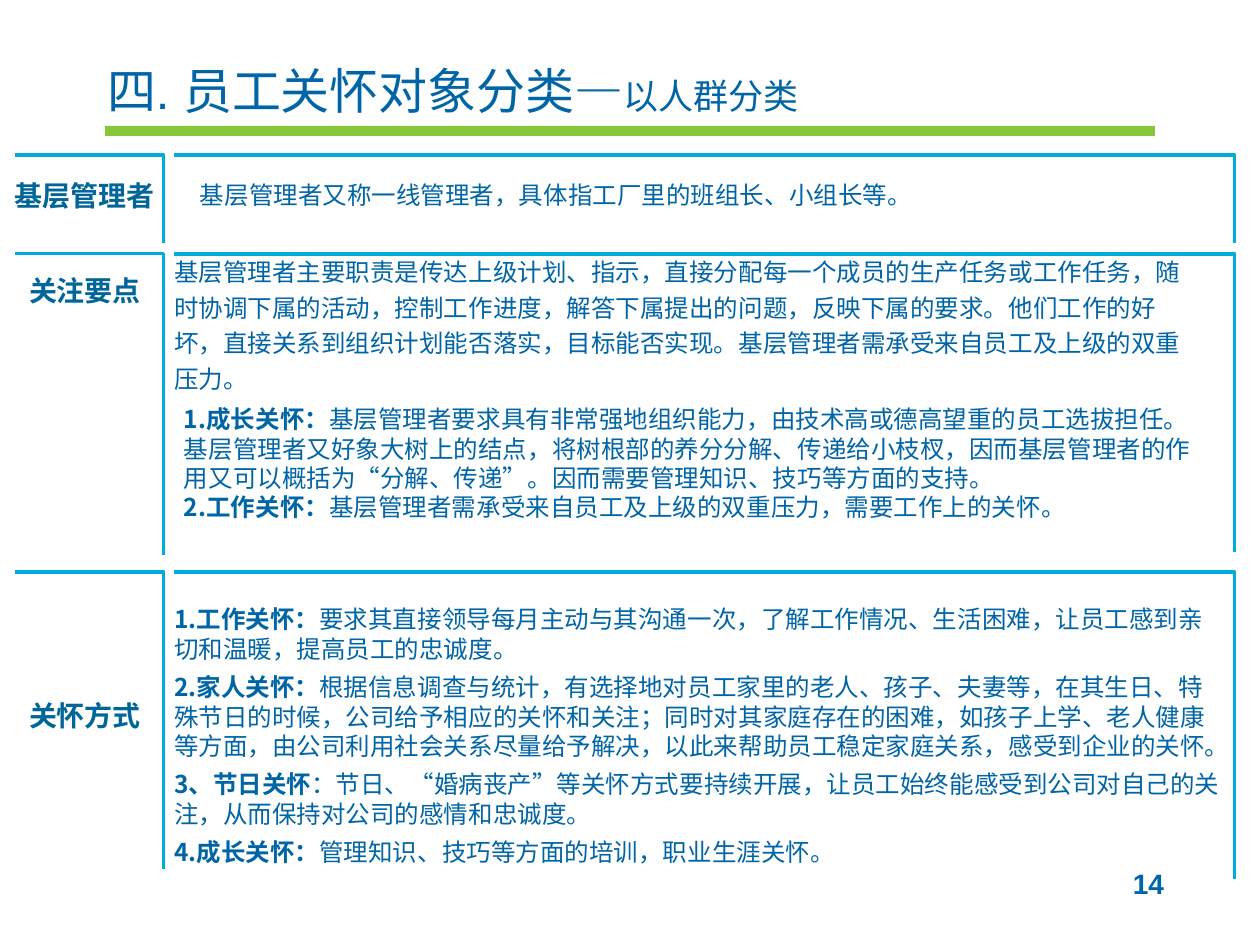
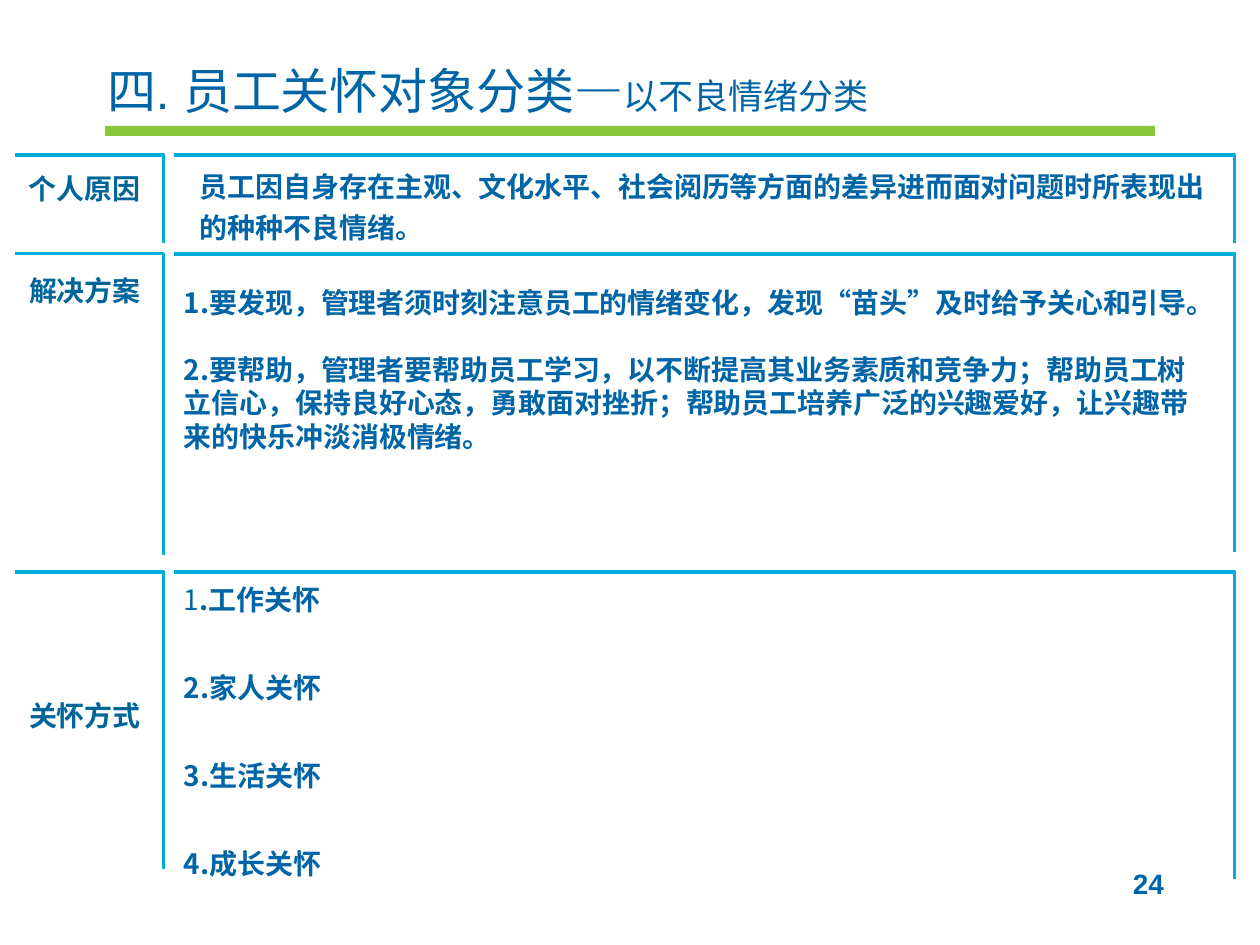
from dataclasses import dataclass

from lxml.etree import SubElement
from pptx import Presentation
from pptx.dml.color import RGBColor
from pptx.enum.shapes import MSO_SHAPE
from pptx.enum.text import MSO_ANCHOR, MSO_AUTO_SIZE, PP_ALIGN
from pptx.oxml.ns import qn
from pptx.util import Pt


@dataclass(frozen=True)
class Theme:
    text: RGBColor = RGBColor.from_string("0065A6")
    label: RGBColor = RGBColor.from_string("006699")
    frame: RGBColor = RGBColor.from_string("00ADDA")
    band: RGBColor = RGBColor.from_string("88C63A")
    latin: str = "Arial"
    chinese: str = "Noto Sans CJK SC"
    title: int = 28
    subtitle: int = 20
    strong: int = 16
    body: int = 14
    line_height: float = 1.2


THEME = Theme()
EMU_PER_PX = 914400 / 126


def px(*lengths):
    return [round(length * EMU_PER_PX) for length in lengths]


def write(frame, paragraphs, color=THEME.text, inset=0, anchor=MSO_ANCHOR.MIDDLE, align=PP_ALIGN.LEFT):
    """Each paragraph is (space before, runs); each run is (text, size, bold[, font])."""
    frame.word_wrap = True
    frame.auto_size = MSO_AUTO_SIZE.NONE
    frame.vertical_anchor = anchor
    frame.margin_left = frame.margin_right = px(2 * inset)[0]
    frame.margin_top = frame.margin_bottom = px(inset)[0]
    for index, (space_before, runs) in enumerate(paragraphs):
        paragraph = frame.add_paragraph() if index else frame.paragraphs[0]
        paragraph.alignment = align
        paragraph.space_before = Pt(space_before if index else 0)
        paragraph.line_spacing = Pt(round(runs[0][1] * THEME.line_height, 1))
        for text, size, bold, *font in runs:
            run = paragraph.add_run()
            run.text = text
            run.font.size = Pt(size)
            run.font.bold = bold
            run.font.color.rgb = color
            run.font.name = font[0] if font else THEME.chinese
            SubElement(run.font._element, qn("a:ea"), typeface=THEME.chinese)


# Content: each section has a label and its texts, with their boxes in px
BODY, STRONG = THEME.body, THEME.strong
pages = [
    {
        "number": "14",
        "topic": "以人群分类",
        "labels": [
            ("基层管理者", (15, 178, 145, 34)),
            ("关注要点", (29, 273, 132, 34)),
            ("关怀方式", (29, 698, 132, 34)),
        ],
        "texts": [
            ((200, 180, 1023, 29), 0, [
                [("基层管理者又称一线管理者，具体指工厂里的班组长、小组长等。", BODY, False)],
            ]),
            ((174, 257, 1012, 136), 3.5, [
                [(line, BODY, False)] for line in (
                    "基层管理者主要职责是传达上级计划、指示，直接分配每一个成员的生产任务或工作任务，随",
                    "时协调下属的活动，控制工作进度，解答下属提出的问题，反映下属的要求。他们工作的好",
                    "坏，直接关系到组织计划能否落实，目标能否实现。基层管理者需承受来自员工及上级的双重",
                    "压力。",
                )
            ]),
            ((184, 404, 1023, 118), 0, [
                [("1.成长关怀：", BODY, True),
                 ("基层管理者要求具有非常强地组织能力，由技术高或德高望重的员工选拔担任。"
                  "基层管理者又好象大树上的结点，将树根部的养分分解、传递给小枝杈，因而基层管理者的作"
                  "用又可以概括为“分解、传递”。因而需要管理知识、技巧等方面的支持。", BODY, False)],
                [("2.工作关怀：", BODY, True),
                 ("基层管理者需承受来自员工及上级的双重压力，需要工作上的关怀。", BODY, False)],
            ]),
            ((174, 604, 1052, 263), 5.2, [
                [("1.工作关怀：", BODY, True),
                 ("要求其直接领导每月主动与其沟通一次，了解工作情况、生活困难，让员工感到亲"
                  "切和温暖，提高员工的忠诚度。", BODY, False)],
                [("2.家人关怀：", BODY, True),
                 ("根据信息调查与统计，有选择地对员工家里的老人、孩子、夫妻等，在其生日、特"
                  "殊节日的时候，公司给予相应的关怀和关注；同时对其家庭存在的困难，如孩子上学、老人健康"
                  "等方面，由公司利用社会关系尽量给予解决，以此来帮助员工稳定家庭关系，感受到企业的关"
                  "怀。", BODY, False)],
                [("3、节日关怀", BODY, True),
                 ("：节日、“婚病丧产”等关怀方式要持续开展，让员工始终能感受到公司对自己的"
                  "关注，从而保持对公司的感情和忠诚度。", BODY, False)],
                [("4.成长关怀：", BODY, True),
                 ("管理知识、技巧等方面的培训，职业生涯关怀。", BODY, False)],
            ]),
        ],
    },
    {
        "number": "24",
        "topic": "以不良情绪分类",
        "labels": [
            ("个人原因", (29, 171, 125, 34)),
            ("解决方案", (29, 273, 132, 34)),
            ("关怀方式", (29, 698, 132, 34)),
        ],
        "texts": [
            ((200, 170, 1023, 74), 4, [
                [("员工因自身存在主观、文化水平、社会阅历等方面的差异进而面对问题时所表现出", STRONG, True)],
                [("的种种不良情绪。", STRONG, True)],
            ]),
            ((184, 285, 1023, 168), 19.2, [
                [("1.要发现，管理者须时刻注意员工的情绪变化，发现", STRONG, True),
                 ("“", STRONG, True, THEME.latin),
                 ("苗头", STRONG, True),
                 ("”", STRONG, True, THEME.latin),
                 ("及时给予关心和引导。", STRONG, True)],
                [("2.要帮助，管理者要帮助员工学习，以不断提高其业务素质和竞争力；帮助员工树"
                  "立信心，保持良好心态，勇敢面对挫折；帮助员工培养广泛的兴趣爱好，让兴趣带"
                  "来的快乐冲淡消极情绪。", STRONG, True)],
            ]),
            ((184, 582, 1042, 299), 31, [
                [("1", STRONG, False), (".工作关怀", STRONG, True)],
                [("2.家人关怀", STRONG, True)],
                [("3.生活关怀", STRONG, True)],
                [("4.成长关怀", STRONG, True)],
            ]),
        ],
    },
]

# Section frames: top, bottom of the label side, bottom of the text side
section_rows = [(155, 243, 243), (254, 555, 552), (572, 869, 879)]
label_edges, text_edges = (15, 164), (174, 1235)

deck = Presentation()
deck.slide_width, deck.slide_height = px(1260, 945)

for page in pages:
    slide = deck.slides.add_slide(deck.slide_layouts[5])

    # Green band under the title
    band = slide.shapes.add_shape(MSO_SHAPE.RECTANGLE, *px(105, 126, 1050, 10))
    band.shadow.inherit = False
    band.fill.solid()
    band.fill.fore_color.rgb = THEME.band
    band.line.fill.background()

    # Title
    title = slide.shapes.title
    title.left, title.top, title.width, title.height = px(95, 55, 1032, 87)
    write(title.text_frame, [(0, [
        ("四. 员工关怀对象分类—", THEME.title, False, THEME.latin),
        (page["topic"], THEME.subtitle, False, THEME.latin),
    ])], inset=6, anchor=MSO_ANCHOR.TOP)

    # Open frames around labels and texts
    for top, label_bottom, text_bottom in section_rows:
        for (left, right), bottom in ((text_edges, text_bottom), (label_edges, label_bottom)):
            outline = slide.shapes.build_freeform(left, top, scale=EMU_PER_PX)
            outline.add_line_segments([(right, top), (right, bottom)], close=False)
            section_frame = outline.convert_to_shape()
            section_frame.shadow.inherit = False
            section_frame.fill.background()
            section_frame.line.color.rgb = THEME.frame
            section_frame.line.width = Pt(1.75)

    # Section labels
    for label, box in page["labels"]:
        label_box = slide.shapes.add_textbox(*px(*box))
        write(label_box.text_frame, [(0, [(label, STRONG, True)])], color=THEME.label)

    # Section texts
    for box, gap, paragraphs in page["texts"]:
        text_box = slide.shapes.add_textbox(*px(*box))
        write(text_box.text_frame, [(gap, runs) for runs in paragraphs])

    # Page number
    page_number = slide.shapes.add_textbox(*px(882, 861, 294, 65))
    write(page_number.text_frame, [(0, [(page["number"], STRONG, True, THEME.latin)])],
          inset=6, anchor=MSO_ANCHOR.TOP, align=PP_ALIGN.RIGHT)

deck.save("out.pptx")
